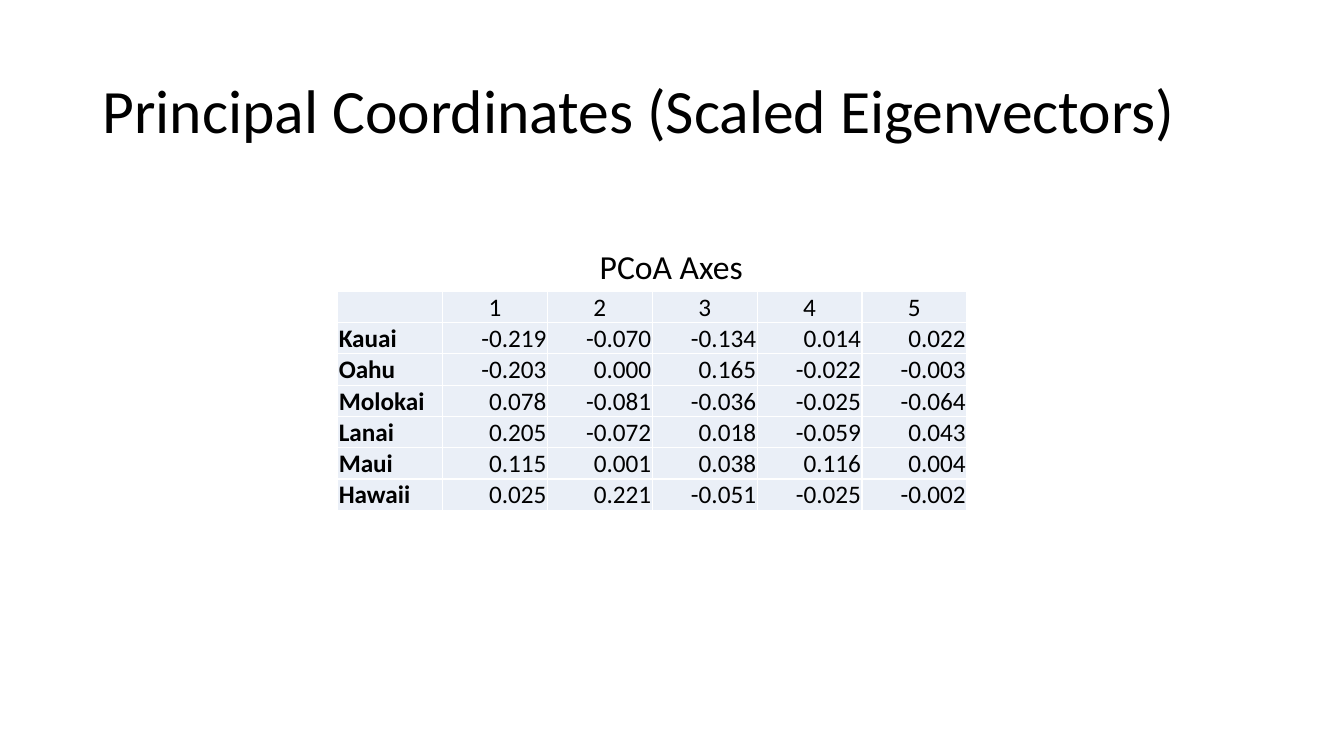
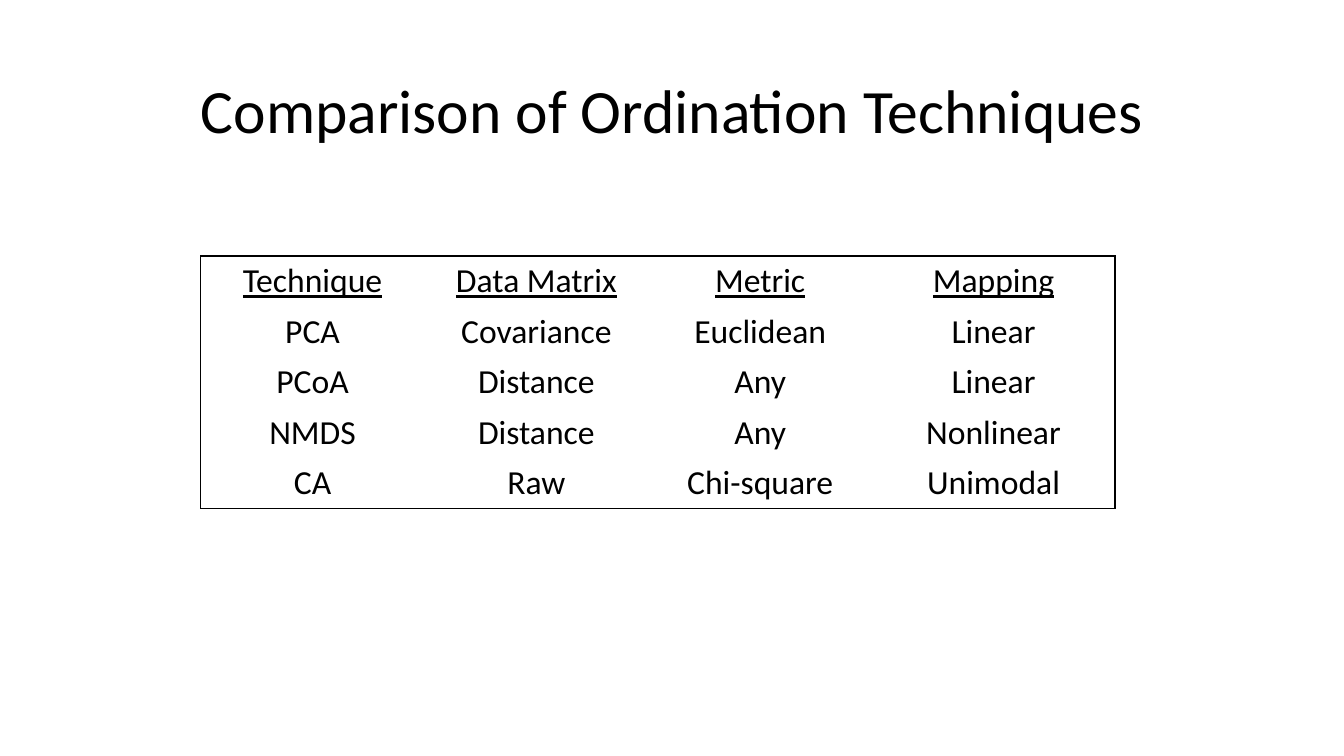
from dataclasses import dataclass

from lxml.etree import SubElement as Sub
from pptx import Presentation
from pptx.dml.color import RGBColor as RGB
from pptx.enum.text import MSO_ANCHOR as Anchor, PP_ALIGN as Align
from pptx.oxml.ns import qn
from pptx.util import Inches, Pt


# Shared colours and type sizes
@dataclass(frozen=True)
class Theme:
    font: str = "Calibri"
    ink: str = "000000"
    paper: str = "FFFFFF"
    tint: str = "EAEFF7"
    title: int = 44
    body: int = 24
    small: int = 18
    rule: int = 1


class Deck:
    def __init__(self, theme):
        self.theme = theme
        self.show = Presentation()
        self.show.slide_width = Inches(13.33)
        self.show.slide_height = Inches(7.5)
        self.page = None

    def slide(self, title, align):
        self.page = self.show.slides.add_slide(self.show.slide_layouts[6])
        frame = self.text(title, (0.92, 0.4, 11.5, 1.45), self.theme.title, align)
        frame.word_wrap = True
        frame.vertical_anchor = Anchor.MIDDLE
        frame.paragraphs[0].line_spacing = 0.9

    def text(self, words, spot, size, align=Align.LEFT):
        frame = self.page.shapes.add_textbox(*map(Inches, spot)).text_frame
        frame.word_wrap = False
        self.label(frame, words, align, size=Pt(size))
        return frame

    def label(self, frame, words, align, **style):
        line = frame.paragraphs[0]
        line.alignment = align
        run = line.add_run()
        run.text = words
        run.font.color.rgb = RGB.from_string(self.theme.ink)
        for name, value in {"name": self.theme.font, **style}.items():
            setattr(run.font, name, value)

    def table(self, rows, spot, widths, height, look):
        """look(row, col) gives the align, font, box, fill and edges of a cell."""
        size = (sum(widths), height * len(rows))
        grid = self.page.shapes.add_table(
            len(rows), len(widths), *map(Inches, (*spot, *size))).table
        grid.first_row = grid.horz_banding = False
        for col, width in zip(grid.columns, widths):
            col.width = Inches(width)
        for r, row in enumerate(rows):
            grid.rows[r].height = Inches(height)
            for c, words in enumerate(row):
                self.cell(grid.cell(r, c), words, **look(r, c))

    def cell(self, cell, words, align, font, box, fill, edges):
        for name, value in box.items():
            setattr(cell, name, value)
        if words:
            self.label(cell.text_frame, words, align, **font)
        # Borders come before the fill in the cell's XML
        for side in "LRTB":
            self.edge(cell, side, edges.get(side))
        if fill:
            cell.fill.solid()
            cell.fill.fore_color.rgb = RGB.from_string(fill)
        else:
            cell.fill.background()

    def edge(self, cell, side, color):
        props = cell._tc.get_or_add_tcPr()
        line = Sub(props, qn("a:ln" + side), w=str(Pt(self.theme.rule)))
        if color:
            Sub(Sub(line, qn("a:solidFill")), qn("a:srgbClr"), val=color)
        else:
            Sub(line, qn("a:noFill"))


AXES = [
    ("", "1", "2", "3", "4", "5"),
    ("Kauai", "-0.219", "-0.070", "-0.134", "0.014", "0.022"),
    ("Oahu", "-0.203", "0.000", "0.165", "-0.022", "-0.003"),
    ("Molokai", "0.078", "-0.081", "-0.036", "-0.025", "-0.064"),
    ("Lanai", "0.205", "-0.072", "0.018", "-0.059", "0.043"),
    ("Maui", "0.115", "0.001", "0.038", "0.116", "0.004"),
    ("Hawaii", "0.025", "0.221", "-0.051", "-0.025", "-0.002"),
]

METHODS = [
    ("Technique", "Data Matrix", "Metric", "Mapping"),
    ("PCA", "Covariance", "Euclidean", "Linear"),
    ("PCoA", "Distance", "Any", "Linear"),
    ("NMDS", "Distance", "Any", "Nonlinear"),
    ("CA", "Raw", "Chi-square", "Unimodal"),
]


# Slide 1: island scores on each axis
def scores(deck):
    theme = deck.theme
    thin = Inches(0.01)
    box = {"margin_left": thin, "margin_right": thin, "margin_top": thin,
           "margin_bottom": 0, "vertical_anchor": Anchor.BOTTOM}

    def look(r, c):
        align = Align.CENTER if r == 0 else Align.RIGHT if c else Align.LEFT
        return {"align": align, "box": box, "fill": theme.tint,
                "font": {"size": Pt(theme.small), "bold": c == 0},
                "edges": dict.fromkeys("LRTB", theme.paper)}

    deck.slide("Principal Coordinates (Scaled Eigenvectors)", Align.LEFT)
    deck.table(AXES, (3.35, 2.89), [1.04] * 6, 0.31, look)
    deck.text("PCoA Axes", (5.85, 2.39, 1.63, 0.5), theme.body)


# Slide 2: methods in a table with an outer frame only
def methods(deck):
    theme = deck.theme
    last_row, last_col = len(METHODS) - 1, len(METHODS[0]) - 1

    def look(r, c):
        outer = {"L": c == 0, "R": c == last_col, "T": r == 0, "B": r == last_row}
        return {"align": Align.CENTER, "box": {}, "fill": None,
                "font": {"size": Pt(theme.body), "underline": r == 0},
                "edges": {side: theme.ink for side, on in outer.items() if on}}

    deck.slide("Comparison of Ordination Techniques", Align.CENTER)
    deck.table(METHODS, (1.99, 2.54), [2.22] * 3 + [2.41], 0.5, look)


def main():
    deck = Deck(Theme())
    scores(deck)
    methods(deck)
    deck.show.save("out.pptx")


if __name__ == "__main__":
    main()
